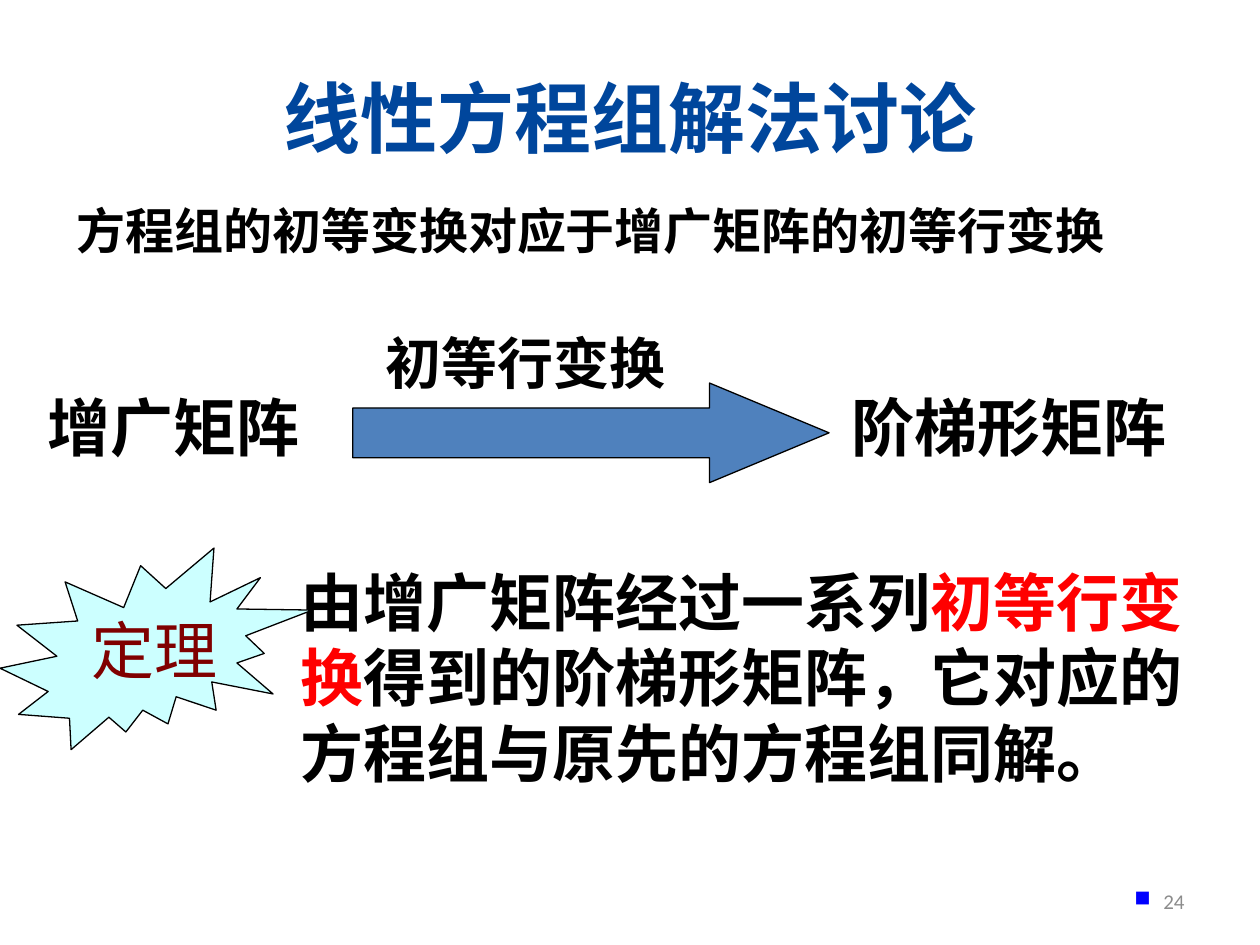
from lxml.etree import SubElement
from pptx import Presentation
from pptx.dml.color import RGBColor
from pptx.enum.shapes import MSO_SHAPE
from pptx.enum.text import MSO_ANCHOR, PP_ALIGN
from pptx.oxml.ns import qn
from pptx.util import Inches, Pt

BLACK = RGBColor(0x00, 0x00, 0x00)
TITLE_BLUE = RGBColor(0x00, 0x46, 0x9C)
ARROW_BLUE = RGBColor(0x4F, 0x81, 0xBD)
PALE_CYAN = RGBColor(0xCC, 0xFF, 0xFF)
RED = RGBColor(0xFF, 0x00, 0x00)
MAROON = RGBColor(0x80, 0x00, 0x00)
GRAY = RGBColor(0x8C, 0x8C, 0x8C)
BULLET_BLUE = RGBColor(0x00, 0x00, 0xFF)
SC = "Noto Sans CJK SC"
JP = "Noto Sans CJK JP"


def add_run(p, text, size, color, font, bold):
    """Append a run with matching Latin and East Asian fonts."""
    r = p.add_run()
    r.text = text
    r.font.size = Pt(size)
    r.font.bold = bold
    r.font.color.rgb = color
    r.font.name = font
    ea = SubElement(r._r.get_or_add_rPr(), qn("a:ea"))
    ea.set("typeface", font if font in (SC, JP) else SC)


def add_text(s, box, runs, size, font, bold=True, wrap=True,
             align=PP_ALIGN.LEFT, middle=False):
    """Add a one-paragraph text box and return its paragraph."""
    tf = s.shapes.add_textbox(*map(Inches, box)).text_frame
    tf.word_wrap = wrap
    p = tf.paragraphs[0]
    p.alignment = align
    if middle:
        tf.vertical_anchor = MSO_ANCHOR.MIDDLE
    else:
        tf.margin_top = Inches(0.04)
        p.line_spacing = Pt(size * 1.2)
    for text, color in runs:
        add_run(p, text, size, color, font, bold)
    return p


def add_outlined(s, kind, box, fill):
    """Add a filled preset shape with a thin black outline."""
    sp = s.shapes.add_shape(kind, *map(Inches, box))
    sp.shadow.inherit = False
    sp.fill.solid()
    sp.fill.fore_color.rgb = fill
    sp.line.color.rgb = BLACK
    sp.line.width = Pt(0.75)
    return sp


def add_square_bullet(p):
    """Give the paragraph a hanging blue square bullet."""
    pPr = p._p.get_or_add_pPr()
    pPr.set("marL", str(Inches(0.23)))
    pPr.set("indent", str(-Inches(0.23)))
    color = SubElement(pPr, qn("a:buClr"))
    SubElement(color, qn("a:srgbClr")).set("val", str(BULLET_BLUE))
    SubElement(pPr, qn("a:buSzPct")).set("val", "105000")
    SubElement(pPr, qn("a:buFont")).set("typeface", "Wingdings")
    SubElement(pPr, qn("a:buChar")).set("char", "n")


def main():
    """Build the slide on solving linear systems."""
    prs = Presentation()
    prs.slide_width, prs.slide_height = Inches(10), Inches(7.5)
    s = prs.slides.add_slide(prs.slide_layouts[6])

    add_text(s, (0.5, 0.3, 9, 1.25), [("线性方程组解法讨论", TITLE_BLUE)],
             44, "Calibri", align=PP_ALIGN.CENTER, middle=True)
    add_text(s, (0.51, 1.55, 8.95, 0.57),
             [("方程组的初等变换对应于增广矩阵的初等行变换", BLACK)], 28, "Arial")

    add_text(s, (0.28, 3.04, 2.23, 0.71), [("增广矩阵", BLACK)], 36, JP, wrap=False)
    arrow = add_outlined(s, MSO_SHAPE.RIGHT_ARROW, (2.8, 3.04, 3.78, 0.79), ARROW_BLUE)
    arrow.adjustments[0] = 0.5
    arrow.adjustments[1] = 1.2
    add_text(s, (2.96, 2.57, 2.44, 0.63), [("初等行变换", BLACK)], 32, SC)
    add_text(s, (6.66, 3.04, 2.74, 0.71), [("阶梯形矩阵", BLACK)], 36, JP, wrap=False)

    theorem = [("由增广矩阵经过一系列", BLACK), ("初等行变换", RED),
               ("得到的阶梯形矩阵，它对应的方程组与原先的方程组同解。", BLACK)]
    add_text(s, (2.29, 4.43, 7.35, 1.92), theorem, 36, SC)
    add_outlined(s, MSO_SHAPE.EXPLOSION2, (0, 4.35, 2.48, 1.6), PALE_CYAN)
    add_text(s, (0.63, 4.81, 1.3, 0.61), [("定理", MAROON)], 36, SC, bold=False)

    number = add_text(s, (7.17, 6.95, 2.33, 0.4), [("24", GRAY)], 12, "Calibri",
                      bold=False, align=PP_ALIGN.RIGHT, middle=True)
    add_square_bullet(number)
    prs.save("out.pptx")


if __name__ == "__main__":
    main()
